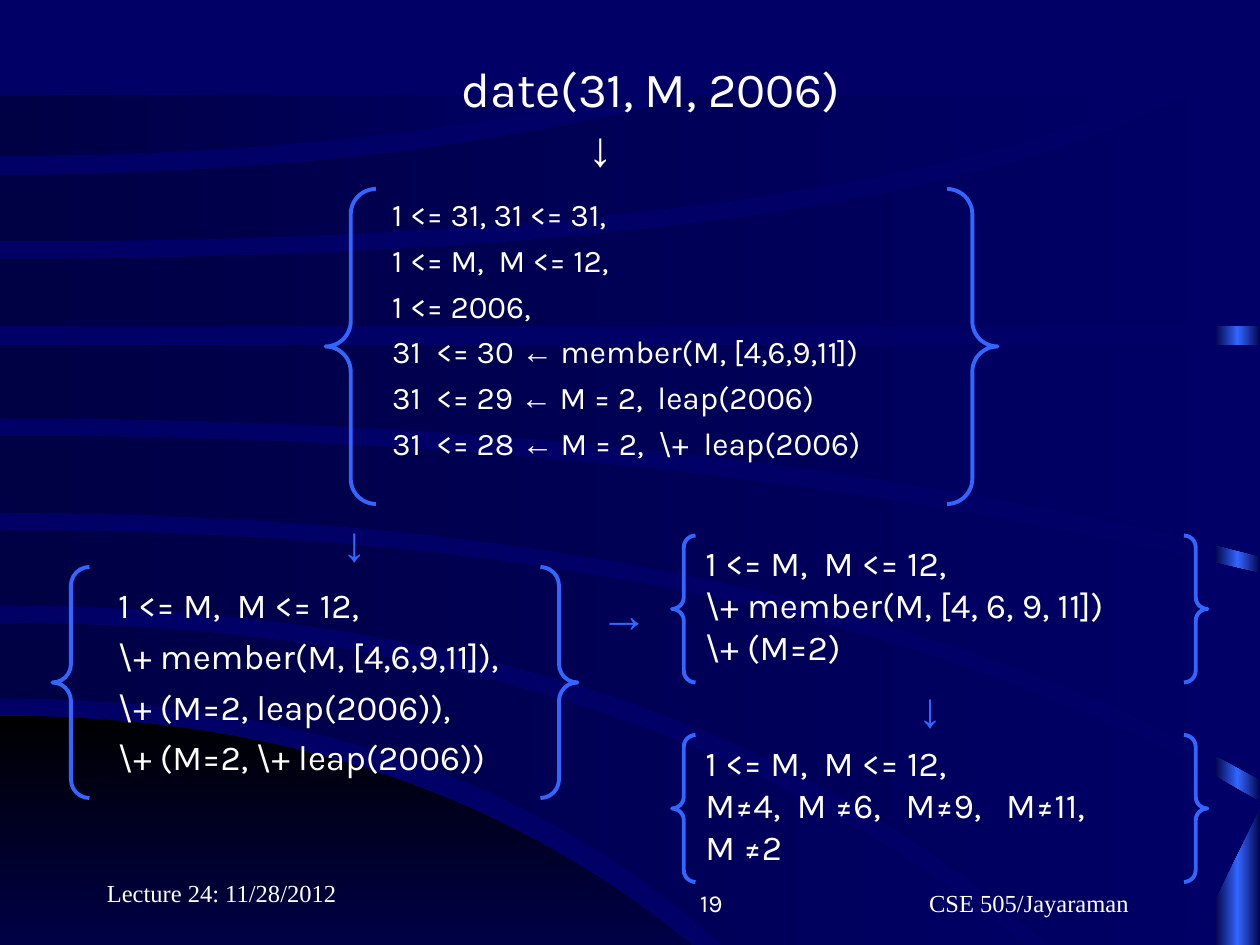
from copy import deepcopy
from itertools import groupby

from pptx import Presentation
from pptx.dml.color import RGBColor
from pptx.enum.shapes import MSO_SHAPE
from pptx.enum.text import MSO_ANCHOR, PP_ALIGN
from pptx.util import Pt

RECT, BRACES = MSO_SHAPE.RECTANGLE, MSO_SHAPE.DOUBLE_BRACE
TOP, BOTTOM = MSO_ANCHOR.TOP, MSO_ANCHOR.BOTTOM
LEFT, CENTER, RIGHT = PP_ALIGN.LEFT, PP_ALIGN.CENTER, PP_ALIGN.RIGHT

NAVY = RGBColor(0x00, 0x00, 0x66)
DARK = RGBColor(0x00, 0x00, 0x44)
BLACK = RGBColor(0x00, 0x00, 0x00)
BLUE = RGBColor(0x33, 0x66, 0xFF)
WHITE = RGBColor(0xFF, 0xFF, 0xFF)
ARROWS = "←↓→"
SERIF = "Times New Roman"
STEPS = 24

prs = Presentation()
prs.slide_width, prs.slide_height = Pt(720), Pt(540)
slide = prs.slides.add_slide(prs.slide_layouts[6])
shapes = slide.shapes
back = slide.background.fill
back.solid()
back.fore_color.rgb = NAVY


def shade(shape, colors, angle=0):
    """Fill a shape with evenly spaced gradient colours and no line."""
    shape.shadow.inherit = False
    shape.line.fill.background()
    fill = shape.fill
    fill.gradient()
    fill.gradient_angle = angle
    stops = shape._element.spPr.find(".//{*}gsLst")
    for _ in colors[2:]:
        stops.append(deepcopy(stops[0]))
    for i, (stop, color) in enumerate(zip(fill.gradient_stops, colors)):
        stop.position = i / (len(colors) - 1)
        stop.color.rgb = color


def text(lines, x, y, w, h, size=20, font="Karla", color=WHITE, align=LEFT,
         anchor=TOP, gap=0, indents=(0,), wrap=True):
    """Place lines of text; arrow signs are set in Arial."""
    frame = shapes.add_textbox(Pt(x), Pt(y), Pt(w), Pt(h)).text_frame
    frame.word_wrap = wrap
    frame.vertical_anchor = anchor
    for i, line in enumerate(lines):
        para = frame.paragraphs[0] if i == 0 else frame.add_paragraph()
        indent = indents[min(i, len(indents) - 1)]
        if indent:
            para._p.get_or_add_pPr().set("marL", str(Pt(indent)))
        para.alignment = align
        if i and gap:
            para.space_before = Pt(gap)
        for arrow, chars in groupby(line, key=lambda c: c in ARROWS):
            run = para.add_run()
            run.text = "".join(chars)
            run.font.name = "Arial" if arrow else font
            run.font.size = Pt(size)
            run.font.color.rgb = color


# Bright strip that shows between the bands at the right edge
strip = shapes.add_shape(RECT, Pt(694), Pt(55.5), Pt(26.5), Pt(540))
shade(strip, [DARK, BLUE, DARK])

# Curved backdrop: a hill, then bands from bottom to top. Each edge leaves
# the left side level: start y, x of the bend, end x, end y.
hill = ((409, 281, 453, 595), (595, 226, 453, 595))
bands = [
    ((356, 411, 644, 594), (399, 305, 463, 594)),
    ((303, 458, 721, 459), (346, 430, 655, 594)),
    ((249, 395, 721, 328), (293, 452, 721, 446)),
    ((197, 360, 721, 197), (239, 417, 721, 318)),
    ((148, 505, 680, 54), (186, 360, 721, 186)),
    ((100, 227, 401, 54), (138, 465, 661, 54)),
    ((54, 180, 361, 54), (89, 190, 361, 54)),
]
for band in [hill] + bands:
    upper, lower = [
        [(2 * t * (1 - t) * bend + t * t * right, start + t * t * (end - start))
         for t in (i / STEPS for i in range(STEPS + 1))]
        for start, bend, right, end in band]
    corner = (max(upper[-1][0], lower[-1][0]), upper[-1][1])
    outline = [(round(x * 100), round(y * 100))
               for x, y in upper + [corner] + lower[::-1]]
    pen = shapes.build_freeform(*outline[0], scale=Pt(1) / 100)
    pen.add_line_segments(outline[1:], close=True)
    curve = pen.convert_to_shape()
    if band is hill:
        shade(curve, [BLACK, NAVY], angle=270)
    else:
        shade(curve, [DARK, NAVY])

# Query and the arrow below it
text(["date(31, M, 2006)", "↓"], 210, 30, 360, 75, size=28,
     indents=(46.5, 119))

# Constraint sets
text(["1 <= 31, 31 <= 31,",
      "1 <= M,  M <= 12,",
      "1 <= 2006,",
      "31  <= 30 ← member(M, [4,6,9,11])",
      "31  <= 29 ← M = 2,  leap(2006)",
      "31  <= 28 ← M = 2,  \\+  leap(2006)"],
     204, 108, 336, 180, size=18, gap=4.5, indents=(13,))
text(["1 <= M,  M <= 12,",
      "\\+ member(M, [4,6,9,11]),",
      "\\+ (M=2, leap(2006)),",
      "\\+ (M=2, \\+ leap(2006))"],
     60.5, 330, 252, 118, gap=5, wrap=False)
text(["1 <= M,  M <= 12,",
      "\\+ member(M, [4, 6, 9, 11])",
      "\\+ (M=2)"], 396, 306, 300, 79)
text(["1 <= M,  M <= 12,",
      "M≠4,  M ≠6,   M≠9,   M≠11,",
      "M ≠2"], 396, 420, 300, 79)

# Braces around the sets
for x, y, w, h in [(186, 108, 384, 180), (30, 324, 300, 132),
                   (384, 306, 306, 84), (384, 420, 306, 84)]:
    brace = shapes.add_shape(BRACES, Pt(x), Pt(y), Pt(w), Pt(h))
    brace.adjustments[0] = 0.08
    brace.shadow.inherit = False
    brace.fill.background()
    brace.line.color.rgb = BLUE
    brace.line.width = Pt(2.25)

# Arrows between the sets
for sign, x, y, w in [("↓", 188.5, 289.5, 25), ("→", 335.5, 330, 42.5),
                      ("↓", 517.5, 384, 25)]:
    text([sign], x, y, w, 41, size=28, color=BLUE, wrap=False)

# Footer
for line, x, y, w, font, align in [
        ("Lecture 24: 11/28/2012", 54, 486, 150, SERIF, LEFT),
        ("19", 270, 492, 150, "Karla", RIGHT),
        ("CSE 505/Jayaraman", 474, 492, 228, SERIF, CENTER)]:
    text([line], x, y, w, 36, size=14, font=font, align=align, anchor=BOTTOM)

prs.save("out.pptx")
